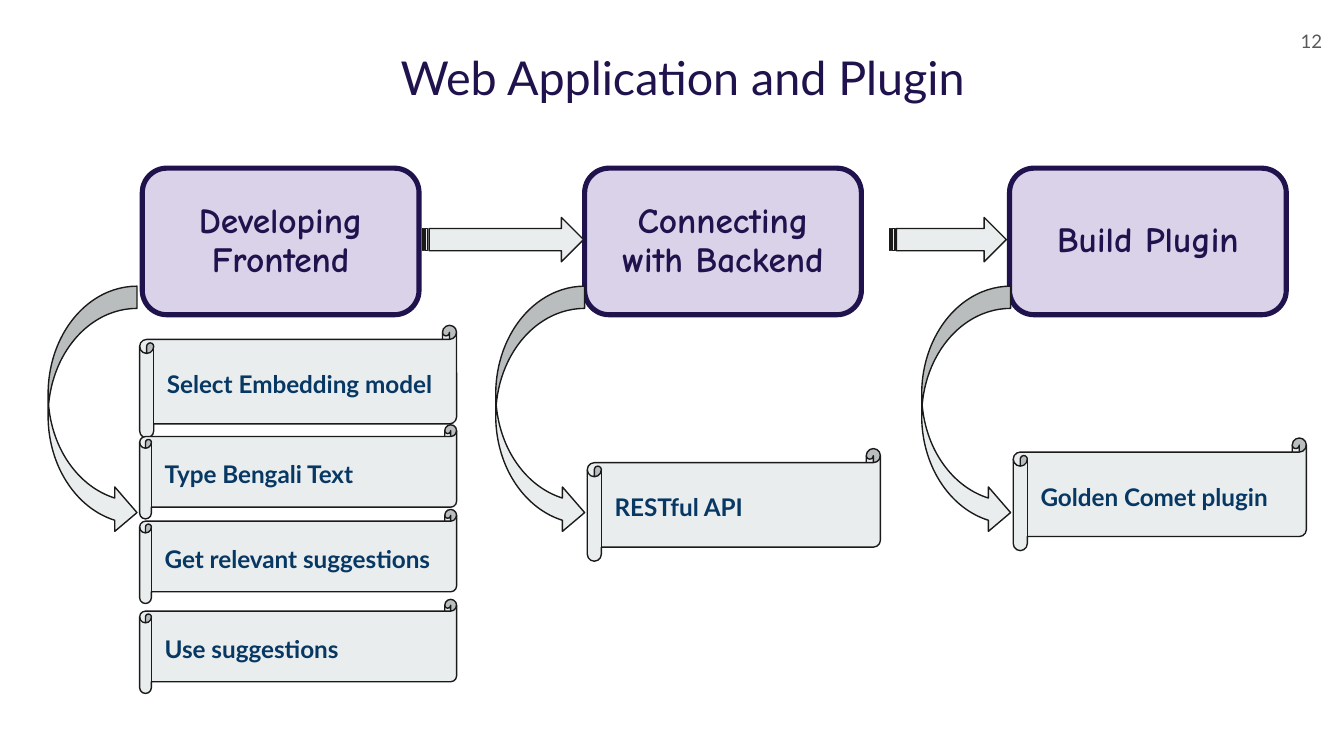
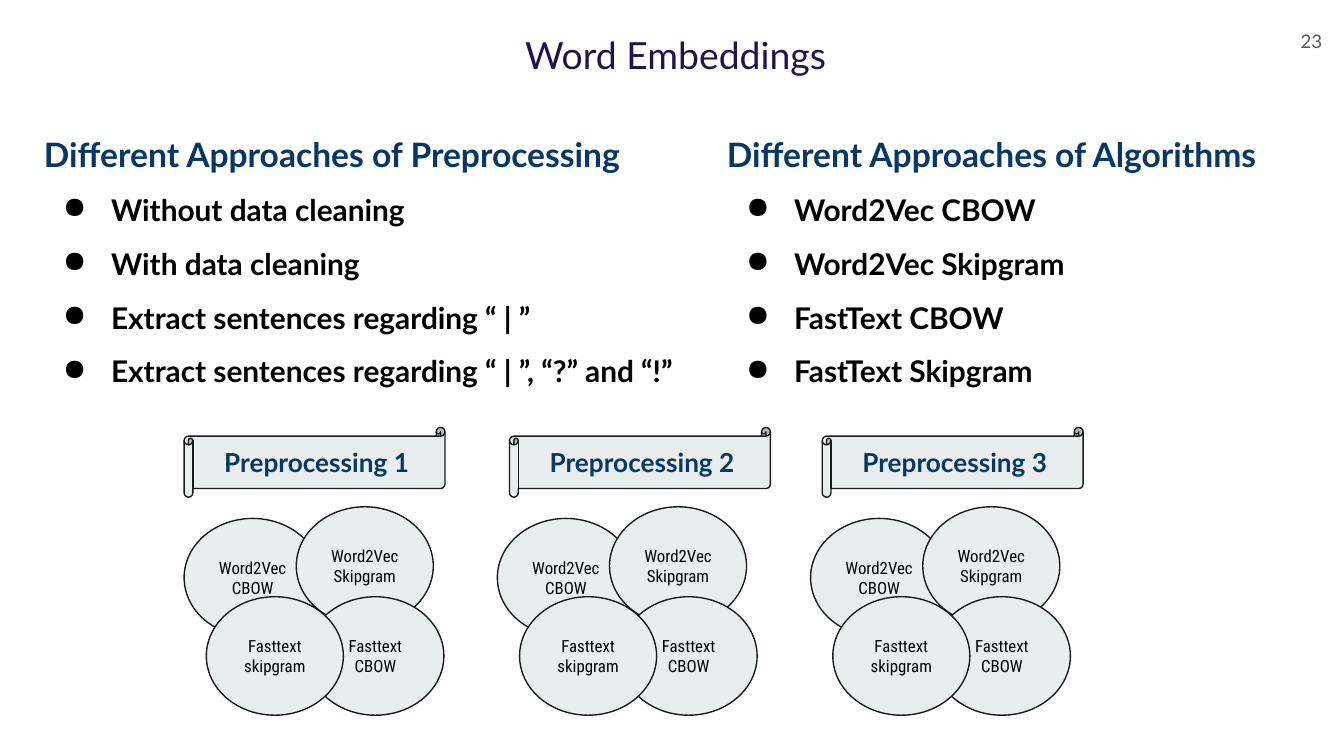
import pptx
import pptx.util
import pptx.dml.color
import pptx.enum.shapes
import pptx.enum.text
import pptx.oxml.ns
import lxml.etree

Cm = pptx.util.Cm
Pt = pptx.util.Pt
RGB = pptx.dml.color.RGBColor
Kind = pptx.enum.shapes.MSO_SHAPE
Align = pptx.enum.text.PP_ALIGN
Anchor = pptx.enum.text.MSO_ANCHOR

# Colours and fonts
PURPLE = RGB(0x20, 0x12, 0x4D)
LILAC = RGB(0xD9, 0xD2, 0xE9)
NAVY = RGB(0x07, 0x37, 0x63)
PALE = RGB(0xE9, 0xED, 0xEE)
INK = RGB(0x1A, 0x1A, 0x1A)
GREY = RGB(0x59, 0x59, 0x59)
BLACK = RGB(0, 0, 0)
LATO = "Lato"
COMIC = "Comic Neue"
ROBOTO = "Roboto Condensed"


def write(par, text, face, size, color, bold=False, align=Align.LEFT, space=1.0, dot=False):
    par.text = text
    par.alignment = align
    par.line_spacing = space
    if dot:
        props = par._p.get_or_add_pPr()
        props.set("marL", str(Cm(1.27)))
        props.set("indent", str(-Cm(0.91)))
        tint = lxml.etree.SubElement(props, pptx.oxml.ns.qn("a:buClr"))
        lxml.etree.SubElement(tint, pptx.oxml.ns.qn("a:srgbClr"), val=str(BLACK))
        lxml.etree.SubElement(props, pptx.oxml.ns.qn("a:buChar"), char="●")
    font = par.font
    font.name, font.size, font.bold = face, Pt(size), bold
    font.color.rgb = color


def put(home, kind, left, top, width, height, fill=PALE, line=INK, weight=0.75):
    """Add a shape, or a text box when kind is None; return its first paragraph."""
    box = [Cm(n) for n in (left, top, width, height)]
    if kind is None:
        shape = home.add_textbox(*box)
    else:
        shape = home.add_shape(kind, *box)
        shape.shadow.inherit = False
        shape.fill.solid()
        shape.fill.fore_color.rgb = fill
        shape.line.color.rgb = line
        shape.line.width = Pt(weight)
    frame = shape.text_frame
    frame.word_wrap = True
    frame.vertical_anchor = Anchor.MIDDLE
    frame.margin_left = frame.margin_right = Cm(0.25)
    frame.margin_top = frame.margin_bottom = Cm(0.25)
    return frame.paragraphs[0]


deck = pptx.Presentation()
deck.slide_width, deck.slide_height = Cm(25.4), Cm(14.29)

# Titles and page numbers
pages = []
for title, size, align, spot, number in [
    ("Web Application and Plugin", 25, Align.LEFT, (7.32, 0.79, 13.2, 1.32), "12"),
    ("Word Embeddings", 20, Align.CENTER, (5.05, 0.38, 15.44, 1.32), "23"),
]:
    home = deck.slides.add_slide(deck.slide_layouts[6]).shapes
    write(put(home, None, *spot), title, LATO, size, PURPLE, align=align)
    write(put(home, None, 23.72, 0.23, 1.52, 1.09), number, LATO, 10, GREY, align=Align.RIGHT)
    pages.append(home)
flow, words = pages

# Slide 1: stages
for left, text in [(2.69, "Developing Frontend"), (11.05, "Connecting with Backend"),
                   (19.08, "Build Plugin")]:
    par = put(flow, Kind.ROUNDED_RECTANGLE, left, 3.18, 5.23, 2.77, LILAC, PURPLE, 2.75)
    write(par, text, COMIC, 19, PURPLE, True, Align.CENTER, 0.9)

# Arrows between stages
for left, width in [(7.98, 3.05), (16.81, 2.21)]:
    put(flow, Kind.STRIPED_RIGHT_ARROW, left, 4.11, width, 0.84)

# Scrolls with the steps
for left, top, width, height, text in [
    (2.64, 6.15, 5.99, 2.13, "Select Embedding model"),
    (2.64, 8.03, 5.99, 1.78, "Type Bengali Text"),
    (2.64, 9.63, 5.99, 1.78, "Get relevant suggestions"),
    (2.64, 11.33, 5.99, 1.78, "Use suggestions"),
    (11.1, 8.48, 5.54, 2.13, "RESTful API"),
    (19.15, 8.28, 5.54, 2.13, "Golden Comet plugin"),
]:
    par = put(flow, Kind.HORIZONTAL_SCROLL, left, top, width, height)
    write(par, text, LATO, 13, NAVY, True, space=1.15)

# Curved arrows from stages to steps
for left in (0.91, 9.37, 17.42):
    put(flow, Kind.CURVED_RIGHT_ARROW, left, 5.41, 1.68, 4.7)

# Slide 2: lists
for left, width, height, head, items in [
    (0.58, 12.47, 5.82, "Different Approaches of Preprocessing",
     ["Without data cleaning", "With data cleaning", "Extract sentences regarding “ | ”",
      "Extract sentences regarding “ | ”, “?” and “!”"]),
    (13.49, 11.02, 5.61, "Different Approaches of Algorithms",
     ["Word2Vec CBOW", "Word2Vec Skipgram", "FastText CBOW", "FastText Skipgram"]),
]:
    box = words.add_textbox(Cm(left), Cm(1.9), Cm(width), Cm(height))
    frame = box.text_frame
    frame.word_wrap = True
    frame.margin_left = frame.margin_right = Cm(0.25)
    frame.margin_top = frame.margin_bottom = Cm(0.25)
    write(frame.paragraphs[0], head, LATO, 18, NAVY, True, space=1.5)
    for item in items:
        write(frame.add_paragraph(), item, LATO, 16, BLACK, True, space=1.5, dot=True)

# Clusters of models, one below each scroll
models = [(0, 9.8, "Word2Vec CBOW"), (2.12, 9.58, "Word2Vec Skipgram"),
          (2.32, 11.28, "Fasttext CBOW"), (0.42, 11.28, "Fasttext skipgram")]
for i, left in enumerate((3.48, 9.63, 15.54)):
    group = words.add_group_shape().shapes
    for shift, top, text in models:
        par = put(group, Kind.OVAL, 3.48 + 5.92 * i + shift, top, 2.59, 2.24)
        write(par, text, ROBOTO, 9, BLACK, align=Align.CENTER)
    par = put(words, Kind.HORIZONTAL_SCROLL, left, 8.08, 4.93, 1.32)
    write(par, f"Preprocessing {i + 1}", LATO, 14, NAVY, True, Align.CENTER)

deck.save("out.pptx")
